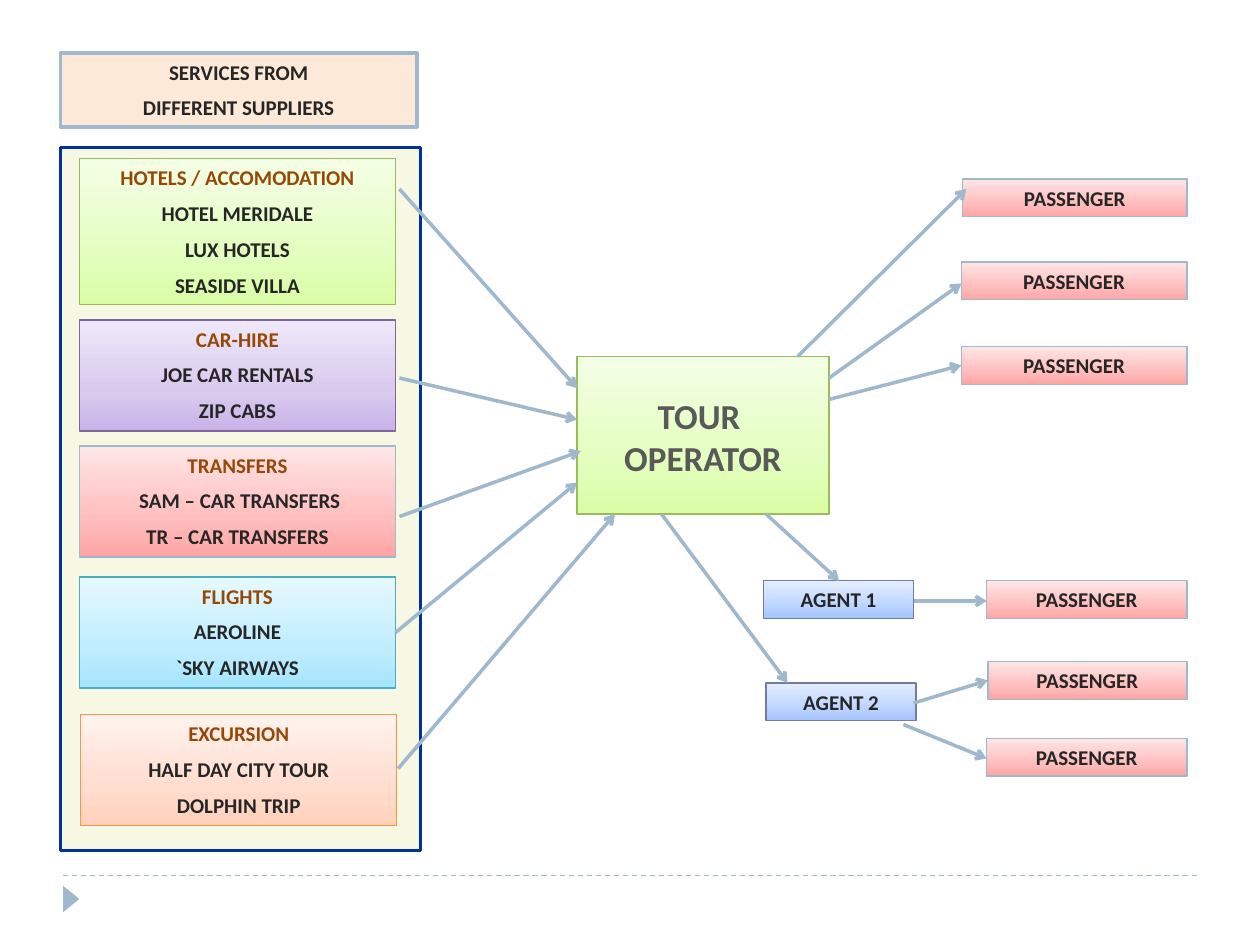
from copy import deepcopy

from lxml import etree
from pptx import Presentation
from pptx.dml.color import RGBColor
from pptx.enum import dml, shapes, text
from pptx.oxml.ns import qn
from pptx.util import Inches, Pt

STEEL, INK, RUST = "9FB8CD", "262626", "974806"

# Gradient stops from bottom to top, then the outline
GREEN = ("D9FDA5", "E3FEBF", "F4FEE6"), "9BBB59"
RED = ("FFA5A3", "FFBEBE", "FFE6E6"), STEEL
BLUE = ("A3C2FF", "BDD5FF", "E5EEFF"), "727CA3"
PURPLE = ("C8B3E9", "D9CAEE", "EFE8FA"), "8064A2"
CYAN = ("A6E4FF", "BFEDFF", "E6F9FF"), "4BACC6"
ORANGE = ("FFD1BB", "FFDDCF", "FFF2ED"), "F79646"

HEAD = ["SERVICES FROM", "DIFFERENT SUPPLIERS"]
OPERATOR = ["TOUR ", "OPERATOR"]

# left, top, height, theme, heading, suppliers
SUPPLIERS = [
    (0.63, 1.26, 1.16, GREEN, "HOTELS / ACCOMODATION",
     ["HOTEL MERIDALE", "LUX HOTELS", "SEASIDE VILLA"]),
    (0.63, 2.54, 0.88, PURPLE, "CAR-HIRE", ["JOE CAR RENTALS", "ZIP CABS"]),
    (0.63, 3.54, 0.88, RED, "TRANSFERS",
     [" SAM – CAR TRANSFERS", "TR – CAR TRANSFERS"]),
    (0.63, 4.58, 0.88, CYAN, "FLIGHTS", ["AEROLINE", "`SKY AIRWAYS"]),
    (0.64, 5.67, 0.88, ORANGE, "EXCURSION",
     ["HALF DAY CITY TOUR", "DOLPHIN TRIP"]),
]

# left, top
PASSENGERS = [(7.64, 1.42), (7.63, 2.08), (7.63, 2.75),
              (7.83, 4.61), (7.84, 5.25), (7.83, 5.86)]
AGENTS = [("AGENT 1", 6.06, 4.61), ("AGENT 2", 6.08, 5.42)]
RIGHT = 9.42  # shared right edge of the passenger boxes

# x and y of the start, x and y of the tip
ARROWS = [
    # suppliers to operator
    (3.17, 1.5, 4.58, 3.08), (3.17, 3, 4.58, 3.33), (3.17, 4.1, 4.61, 3.58),
    (3.14, 5.02, 4.58, 3.83), (3.16, 6.1, 4.88, 4.08),
    # operator to passengers
    (6.33, 2.83, 7.67, 1.5), (6.58, 3, 7.63, 2.25), (6.58, 3.17, 7.63, 2.9),
    # operator to agents
    (6.08, 4.08, 6.66, 4.61), (5.25, 4.08, 6.25, 5.42),
    # agents to passengers
    (7.25, 4.77, 7.83, 4.77), (7.25, 5.58, 7.84, 5.4), (7.17, 5.75, 7.83, 6.02),
]

prs = Presentation()
prs.slide_width, prs.slide_height = Inches(10), Inches(7.5)
slide = prs.slides.add_slide(prs.slide_layouts[6])


def rgb(code):
    return RGBColor.from_string(code)


def blend(box, codes):
    """Fill a box with a vertical blend of three colours."""
    fill = box.fill
    fill.gradient()
    fill.gradient_angle = 90
    first = box._element.xpath(".//a:gs")[0]
    first.addnext(deepcopy(first))
    for stop, code, pos in zip(fill.gradient_stops, codes, (0, 0.35, 1)):
        stop.color.rgb = rgb(code)
        stop.position = pos


def write(box, lines, size=12, after=6):
    """Put centred bold lines, given as (words, colour), in a box."""
    frame = box.text_frame
    frame.word_wrap = True
    frame.vertical_anchor = text.MSO_ANCHOR.TOP
    for i, (words, code) in enumerate(lines):
        para = frame.add_paragraph() if i else frame.paragraphs[0]
        para.alignment = text.PP_ALIGN.CENTER
        para.space_after = Pt(after)
        run = para.add_run()
        run.text = words
        font = run.font
        font.name, font.size, font.bold = "Calibri", Pt(size), True
        font.color.rgb = rgb(code)


def draw(at, fill, edge=None, width=0.75, kind=shapes.MSO_SHAPE.RECTANGLE):
    """Add a shape; fill is one colour or a tuple of three to blend."""
    box = slide.shapes.add_shape(kind, *map(Inches, at))
    box.shadow.inherit = False
    if isinstance(fill, tuple):
        blend(box, fill)
    else:
        box.fill.solid()
        box.fill.fore_color.rgb = rgb(fill)
    if edge:
        box.line.color.rgb = rgb(edge)
        box.line.width = Pt(width)
    else:
        box.line.fill.background()
    return box


def link(ends, width):
    """Add a plain straight line."""
    line = slide.shapes.add_connector(
        shapes.MSO_CONNECTOR.STRAIGHT, *map(Inches, ends))
    line.line.color.rgb = rgb(STEEL)
    line.line.width = Pt(width)
    etree.SubElement(line._element.spPr, qn("a:effectLst"))
    return line


# Footer
rule = link((0.5, 6.95, 9.5, 6.95), 0.75)
rule.line.dash_style = dml.MSO_LINE.DASH
mark = draw((0.46, 7.07, 0.21, 0.13), STEEL,
            kind=shapes.MSO_SHAPE.ISOSCELES_TRIANGLE)
mark.rotation = 90

# Operator
draw((4.58, 2.83, 2, 1.25), *GREEN)
label = slide.shapes.add_textbox(*map(Inches, (4.83, 3.08, 1.5, 0.77)))
write(label, [(words, "595959") for words in OPERATOR], size=20, after=0)

# Passengers and agents
for left, top in PASSENGERS:
    box = draw((left, top, RIGHT - left, 0.3), *RED)
    write(box, [("PASSENGER", INK)])
for name, left, top in AGENTS:
    write(draw((left, top, 1.19, 0.3), *BLUE), [(name, INK)])

# Suppliers
draw((0.48, 1.17, 2.86, 5.58), "F6F8E4", "003399", 1.5)
head = draw((0.48, 0.42, 2.83, 0.59), "FDE9D8", STEEL, 2)
write(head, [(words, INK) for words in HEAD])
for left, top, height, theme, title, names in SUPPLIERS:
    box = draw((left, top, 2.51, height), *theme)
    write(box, [(title, RUST)] + [(name, INK) for name in names])

for ends in ARROWS:
    arrow = link(ends, 2)
    etree.SubElement(arrow.line._get_or_add_ln(), qn("a:tailEnd"), type="arrow")

prs.save("out.pptx")
